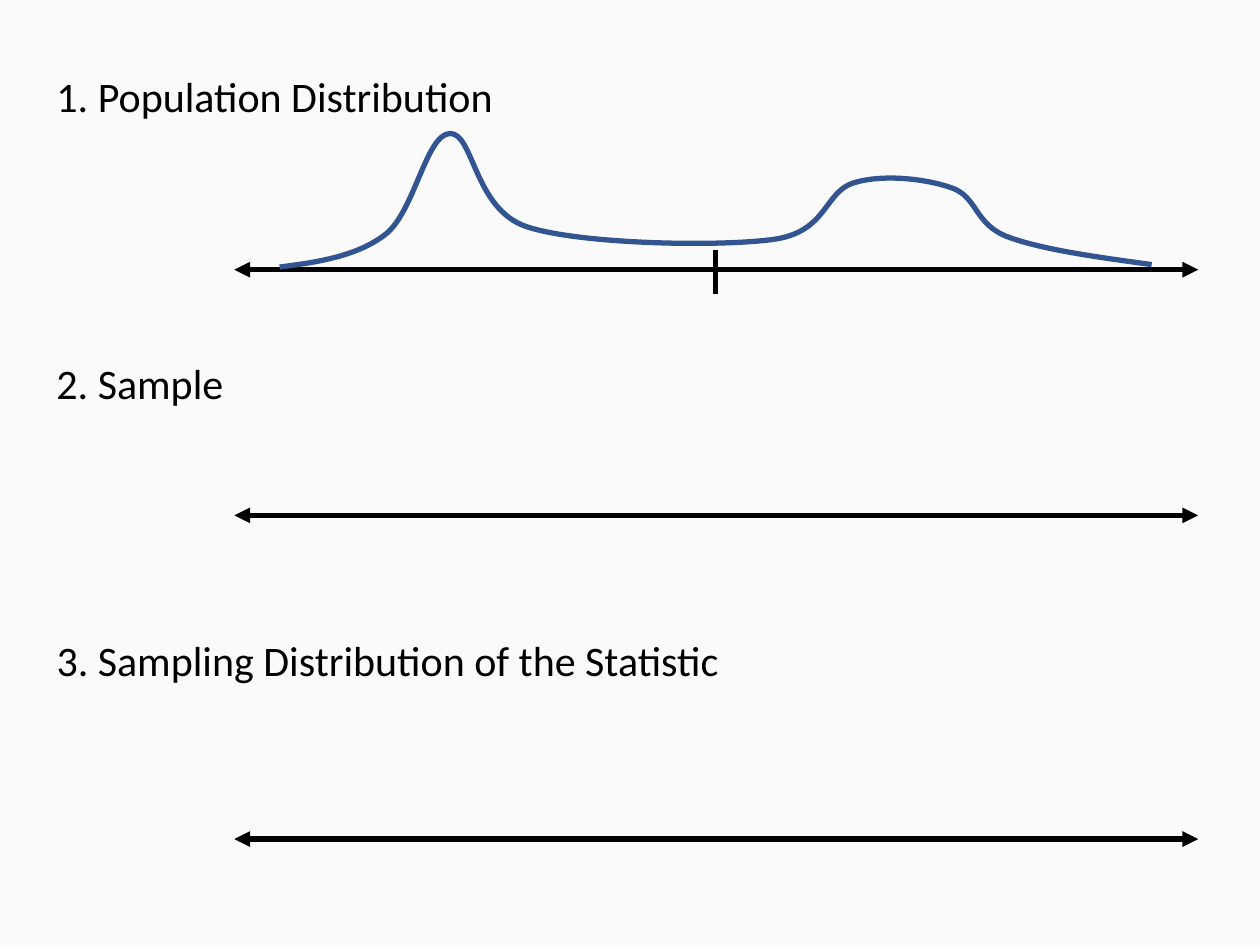
from dataclasses import dataclass

import lxml.etree
import pptx
import pptx.dml.color
import pptx.enum.shapes
import pptx.enum.text
import pptx.oxml.ns
import pptx.util

Pt = pptx.util.Pt
RGB = pptx.dml.color.RGBColor.from_string
qn = pptx.oxml.ns.qn


@dataclass(frozen=True)
class Theme:
    background: str = "FAFAFA"
    ink: str = "000000"
    curve: str = "325491"
    font: str = "Calibri"
    text_size: float = 24
    line_width: float = 3


@dataclass(frozen=True)
class Section:
    heading: str
    top: float
    width: float
    axis_y: float


THEME = Theme()
SECTIONS = [
    Section("1. Population Distribution", 36.7, 266.4, 154.1),
    Section("2. Sample", 200.9, 110.9, 294.5),
    Section("3. Sampling Distribution of the Statistic", 359.3, 396.7, 479.5),
]
HEADING_LEFT, HEADING_HEIGHT = 25.2, 36
AXIS_LEFT, AXIS_RIGHT = 133.9, 684.7
TICK_X, TICK_TOP, TICK_BOTTOM = 409, 142.6, 167.8

# Each curve row holds two control points and an end point.
CURVE_START = (159.8, 152.6)
CURVE = [
    ((182.2, 149.8), (204.5, 146.2), (220.3, 133.9)),
    ((236.9, 121), (243.4, 77), (257, 76.3)),
    ((270.7, 75.6), (270.7, 119.5), (301, 129.6)),
    ((331.9, 139.7), (411.1, 141.1), (442.1, 136.8)),
    ((473, 132.5), (470.9, 109.4), (488.2, 104.4)),
    ((504.7, 99.4), (529.2, 102.2), (543.6, 107.3)),
    ((558.7, 112.3), (556.6, 128.2), (576, 135.4)),
    ((595.4, 142.6), (626.4, 146.9), (658.1, 151.2)),
]


def apply(target, values: dict) -> None:
    for name, value in values.items():
        setattr(target, name, value)


def add_line(page, start: tuple, end: tuple, arrows: bool = False) -> None:
    line = page.shapes.add_connector(
        pptx.enum.shapes.MSO_CONNECTOR.STRAIGHT, *map(Pt, start + end))
    line.line.color.rgb = RGB(THEME.ink)
    line.line.width = Pt(THEME.line_width)
    if arrows:
        outline = line.line._get_or_add_ln()
        for end_name in ("a:headEnd", "a:tailEnd"):
            lxml.etree.SubElement(outline, qn(end_name), type="triangle")
    lxml.etree.SubElement(line._element.spPr, qn("a:effectLst"))


def add_heading(page, section: Section) -> None:
    box = page.shapes.add_textbox(
        *map(Pt, (HEADING_LEFT, section.top, section.width, HEADING_HEIGHT)))
    apply(box.text_frame, {
        "word_wrap": False,
        "auto_size": pptx.enum.text.MSO_AUTO_SIZE.SHAPE_TO_FIT_TEXT,
    })
    span = box.text_frame.paragraphs[0].add_run()
    span.text = section.heading
    apply(span.font, {"name": THEME.font, "size": Pt(THEME.text_size)})
    span.font.color.rgb = RGB(THEME.ink)


def add_curve(page) -> None:
    """Build the outline from its end points, then bend each straight segment."""
    builder = page.shapes.build_freeform(*map(Pt, CURVE_START))
    builder.add_line_segments([tuple(map(Pt, row[-1])) for row in CURVE], close=False)
    curve = builder.convert_to_shape()
    segments = list(curve._element.iter(qn("a:lnTo")))
    for segment, row in zip(segments, CURVE):
        bend = lxml.etree.Element(qn("a:cubicBezTo"))
        for x, y in row:
            lxml.etree.SubElement(bend, qn("a:pt"), x=str(Pt(x) - curve.left),
                                  y=str(Pt(y) - curve.top))
        segment.getparent().replace(segment, bend)
    curve.shadow.inherit = False
    curve.fill.background()
    curve.line.color.rgb = RGB(THEME.curve)
    curve.line.width = Pt(THEME.line_width)


def main() -> None:
    deck = pptx.Presentation()
    apply(deck, {"slide_width": Pt(720), "slide_height": Pt(540)})
    page = deck.slides.add_slide(deck.slide_layouts[6])
    page.background.fill.solid()
    page.background.fill.fore_color.rgb = RGB(THEME.background)
    for section in SECTIONS:
        add_line(page, (AXIS_LEFT, section.axis_y), (AXIS_RIGHT, section.axis_y), arrows=True)
    for section in SECTIONS:
        add_heading(page, section)
    add_curve(page)
    add_line(page, (TICK_X, TICK_TOP), (TICK_X, TICK_BOTTOM))
    deck.save("out.pptx")


if __name__ == "__main__":
    main()
